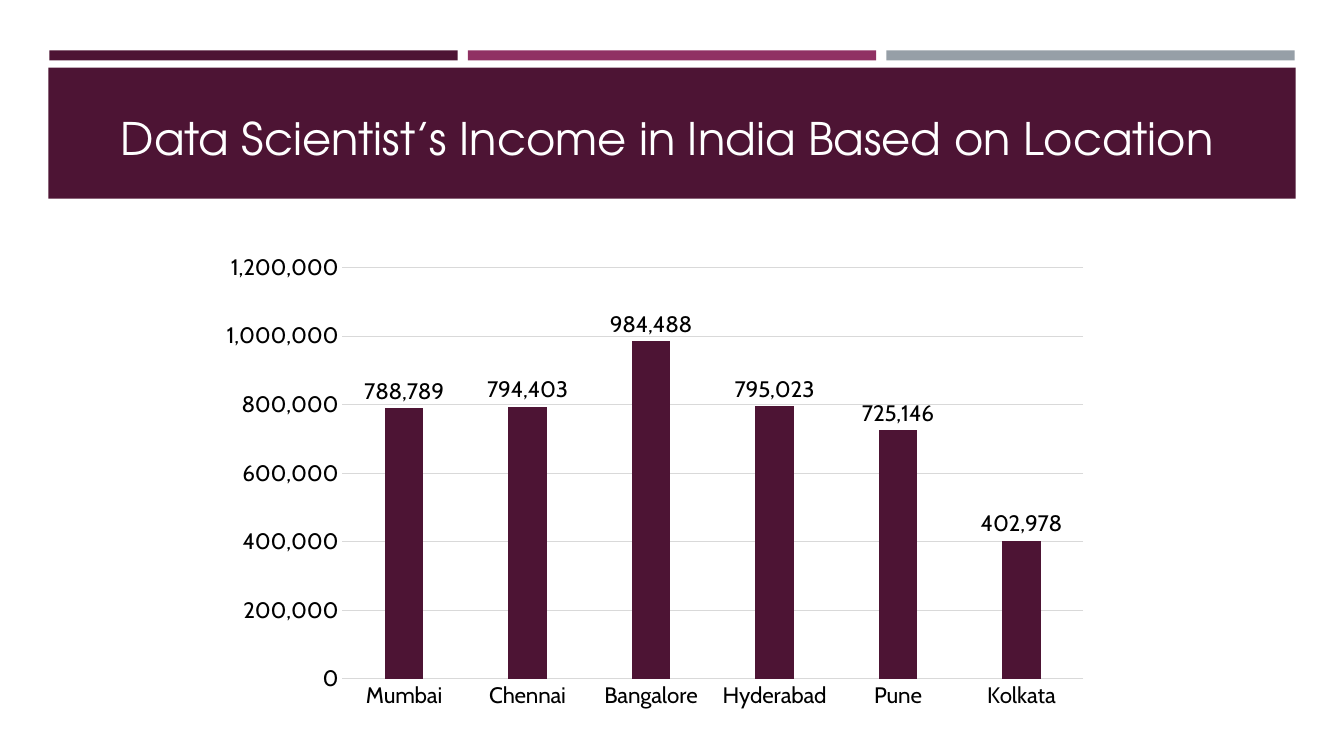
from pptx import Presentation
from pptx.chart.data import CategoryChartData
from pptx.dml.color import RGBColor
from pptx.enum.chart import XL_CHART_TYPE, XL_LABEL_POSITION, XL_TICK_MARK
from pptx.enum.shapes import MSO_SHAPE
from pptx.enum.text import MSO_ANCHOR, MSO_AUTO_SIZE, PP_ALIGN
from pptx.util import Inches, Pt

# Content
TITLE = "Data Scientist’s Income in India Based on Location"
INCOME = {
    "Mumbai": 788789,
    "Chennai": 794403,
    "Bangalore": 984488,
    "Hyderabad": 795023,
    "Pune": 725146,
    "Kolkata": 402978,
}

THEME = {
    "plum": "4D1434", "berry": "903163", "steel": "969FA7",
    "white": "FFFFFF", "black": "000000", "grid": "D9D9D9",
    "head": "TeX Gyre Adventor", "body": "Cabin",
    "title": 32, "label": 16, "rule": 0.75,
}
FORMAT = "#,##0"


def paint(name):
    return RGBColor.from_string(THEME[name])


def style(font, face, size, color):
    font.name = THEME[face]
    font.size = Pt(THEME[size])
    font.color.rgb = paint(color)
    font.bold = False


def add_bar(slide, box, color):
    bar = slide.shapes.add_shape(MSO_SHAPE.RECTANGLE, *map(Inches, box))
    bar.shadow.inherit = False
    bar.fill.solid()
    bar.fill.fore_color.rgb = paint(color)
    bar.line.fill.background()


def add_text(slide, text, box, *, face="head", size="title", color="white",
             spacing=1.0, align=PP_ALIGN.LEFT):
    frame = slide.shapes.add_textbox(*map(Inches, box)).text_frame
    frame.word_wrap = True
    frame.auto_size = MSO_AUTO_SIZE.SHAPE_TO_FIT_TEXT
    frame.vertical_anchor = MSO_ANCHOR.TOP
    para = frame.paragraphs[0]
    para.alignment = align
    para.line_spacing = spacing
    run = para.add_run()
    run.text = text
    style(run.font, face, size, color)


def rule(line):
    line.color.rgb = paint("grid")
    line.width = Pt(THEME["rule"])


def add_columns(slide, box):
    data = CategoryChartData(number_format=FORMAT)
    data.categories = list(INCOME)
    data.add_series("Series 1", list(INCOME.values()))
    chart = slide.shapes.add_chart(
        XL_CHART_TYPE.COLUMN_CLUSTERED, *map(Inches, box), data).chart
    chart.has_legend = chart.has_title = False
    style(chart.font, "body", "label", "black")

    # Axes
    cats, vals = chart.category_axis, chart.value_axis
    for axis in (cats, vals):
        axis.major_tick_mark = axis.minor_tick_mark = XL_TICK_MARK.NONE
        style(axis.tick_labels.font, "body", "label", "black")
    rule(cats.format.line)
    vals.format.line.fill.background()
    vals.has_major_gridlines = True
    rule(vals.major_gridlines.format.line)
    vals.minimum_scale, vals.maximum_scale = 0, 1200000
    vals.major_unit = 200000
    vals.tick_labels.number_format = FORMAT
    vals.tick_labels.number_format_is_linked = False

    # Columns and their labels
    plot = chart.plots[0]
    plot.vary_by_categories = False
    plot.gap_width, plot.overlap = 219, -27
    fill = plot.series[0].format.fill
    fill.solid()
    fill.fore_color.rgb = paint("plum")
    labels = plot.series[0].data_labels
    labels.show_value = True
    labels.position = XL_LABEL_POSITION.OUTSIDE_END
    labels.number_format = FORMAT
    labels.number_format_is_linked = False
    style(labels.font, "body", "label", "black")


def main():
    deck = Presentation()
    deck.slide_width, deck.slide_height = Inches(13.33), Inches(7.5)
    slide = deck.slides.add_slide(deck.slide_layouts[6])

    # Header: three strips above the title band
    left, wide, gap = 0.49, 4.05, 0.1
    for i, color in enumerate(("plum", "berry", "steel")):
        add_bar(slide, (left + i * (wide + gap), 0.5, wide, 0.1), color)
    add_bar(slide, (0.48, 0.67, 12.37, 1.3), "plum")
    add_text(slide, TITLE, (1.1, 0.78, 11.97, 0.81), spacing=1.5)

    # Income chart
    add_columns(slide, (2.07, 2.43, 8.85, 4.7))
    deck.save("out.pptx")


if __name__ == "__main__":
    main()
